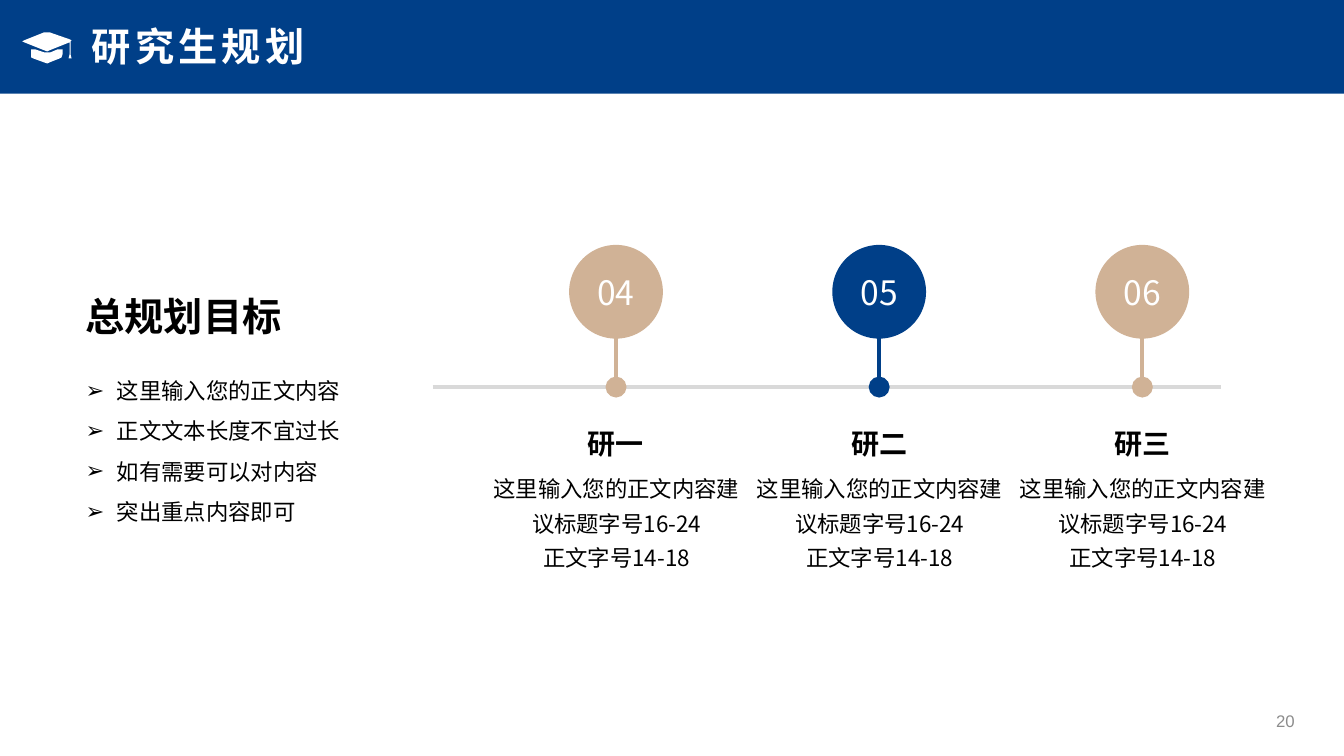
"""Build the postgraduate planning slide with its three-year timeline."""
from dataclasses import dataclass

import lxml.etree
import pptx
import pptx.dml.color
import pptx.enum.shapes
import pptx.enum.text
import pptx.oxml.ns
import pptx.util

Inches = pptx.util.Inches
Pt = pptx.util.Pt
SHAPES = pptx.enum.shapes.MSO_SHAPE
ALIGN = pptx.enum.text.PP_ALIGN
ANCHOR = pptx.enum.text.MSO_ANCHOR
qn = pptx.oxml.ns.qn


@dataclass(frozen=True)
class Theme:
    """Colours, fonts and type sizes of the slide."""
    navy: str = "003F88"
    sand: str = "D0B296"
    axis: str = "D9D9D9"
    white: str = "FFFFFF"
    black: str = "000000"
    grey: str = "8C8C8C"
    latin: str = "Arial"
    cjk: str = "Noto Sans CJK SC"
    heading: int = 28
    number: int = 24
    stage: int = 20
    body: int = 16
    footer: int = 12
    stroke: int = 3


THEME = Theme()
GOALS = ["这里输入您的正文内容", "正文文本长度不宜过长", "如有需要可以对内容", "突出重点内容即可"]
STAGE_NOTES = ["这里输入您的正文内容建议标题字号16-24", "正文字号14-18"]
STAGES = [("04", "研一", THEME.sand), ("05", "研二", THEME.navy), ("06", "研三", THEME.sand)]
FIRST_STAGE_X, STAGE_STEP, AXIS_Y = 6.11, 2.61, 3.84
CAP_BASE = [(0.31, 0.49), (0.35, 0.49), (0.44, 0.52), (0.47, 0.52), (0.5, 0.52), (0.57, 0.49),
            (0.62, 0.49), (0.62, 0.54), (0.61, 0.57), (0.59, 0.58), (0.49, 0.62), (0.47, 0.63),
            (0.44, 0.62), (0.33, 0.58), (0.31, 0.57), (0.31, 0.54)]
CAP_BOARD = [(0.47, 0.32), (0.49, 0.32), (0.69, 0.39), (0.71, 0.4), (0.7, 0.41), (0.7, 0.54),
             (0.71, 0.58), (0.68, 0.58), (0.69, 0.54), (0.69, 0.42), (0.49, 0.5), (0.47, 0.51),
             (0.44, 0.5), (0.24, 0.42), (0.22, 0.41), (0.24, 0.4), (0.44, 0.32)]


def rgb(colour):
    """Turn a hex string into a colour."""
    return pptx.dml.color.RGBColor.from_string(colour)


def paint(shape, colour):
    """Give a shape a flat fill without outline or shadow."""
    shape.shadow.inherit = False
    shape.fill.solid()
    shape.fill.fore_color.rgb = rgb(colour)
    shape.line.fill.background()


def add_bullet(paragraph, symbol, indent):
    """Give a paragraph a hanging bullet."""
    properties = paragraph._p.get_or_add_pPr()
    properties.set("marL", str(Inches(indent)))
    properties.set("indent", str(-Inches(indent)))
    lxml.etree.SubElement(properties, qn("a:buFont")).set("typeface", THEME.latin)
    lxml.etree.SubElement(properties, qn("a:buChar")).set("char", symbol)


def write(frame, lines, size, colour, font=THEME.cjk, bold=False, align=ALIGN.LEFT,
          spacing=1.0, tracking=0, bullet=None, inset=0):
    """Fill a text frame with evenly formatted paragraphs."""
    frame.margin_left = frame.margin_right = Inches(inset)
    frame.margin_top = frame.margin_bottom = Inches(inset / 2)
    frame.text = "\n".join(lines)
    for paragraph in frame.paragraphs:
        paragraph.alignment = align
        paragraph.line_spacing = spacing
        if bullet:
            add_bullet(paragraph, bullet, 0.31)
        for run in paragraph.runs:
            run.font.size = Pt(size)
            run.font.name = font
            run.font.bold = bold
            run.font.color.rgb = rgb(colour)
            properties = run._r.get_or_add_rPr()
            lxml.etree.SubElement(properties, qn("a:ea")).set("typeface", THEME.cjk)
            if tracking:
                properties.set("spc", str(tracking * 100))


def add_text(slide, box, lines, size, colour, wrap=True, anchor=ANCHOR.TOP, **style):
    """Add a text box at left, top, width, height in inches."""
    frame = slide.shapes.add_textbox(*map(Inches, box)).text_frame
    frame.word_wrap = wrap
    frame.vertical_anchor = anchor
    write(frame, lines, size, colour, **style)


def add_line(slide, start, end, colour, tail=None):
    """Add a straight line, optionally with a large end marker."""
    line = slide.shapes.add_connector(
        pptx.enum.shapes.MSO_CONNECTOR.STRAIGHT, *map(Inches, start + end))
    line.line.color.rgb = rgb(colour)
    line.line.width = Pt(THEME.stroke)
    if tail:
        marker = lxml.etree.SubElement(line.line._get_or_add_ln(), qn("a:tailEnd"))
        for key, value in (("type", tail), ("w", "lg"), ("len", "lg")):
            marker.set(key, value)
    lxml.etree.SubElement(line._element.spPr, qn("a:effectLst"))


def add_cap(slide):
    """Draw the graduation cap in the header."""
    base, board = ([(Inches(x), Inches(y)) for x, y in outline]
                   for outline in (CAP_BASE, CAP_BOARD))
    builder = slide.shapes.build_freeform(*base[0])
    builder.add_line_segments(base[1:], close=True)
    builder.move_to(*board[0])
    builder.add_line_segments(board[1:], close=True)
    paint(builder.convert_to_shape(), THEME.white)


def add_header(slide, title):
    """Add the banner with its cap and title."""
    banner = slide.shapes.add_shape(SHAPES.RECTANGLE, 0, 0, Inches(13.33), Inches(0.93))
    paint(banner, THEME.navy)
    add_cap(slide)
    add_text(slide, (0.83, 0.23, 7.03, 0.5), [title], THEME.heading, THEME.white,
             font=THEME.latin, bold=True, spacing=0.9, tracking=3, inset=0.08,
             anchor=ANCHOR.MIDDLE)


def add_stage(slide, x, number, name, colour):
    """Add one timeline stage centred on x."""
    add_line(slide, (x, 3.06), (x, AXIS_Y), colour, tail="oval")
    diameter = 0.93
    badge = slide.shapes.add_shape(
        SHAPES.OVAL, *map(Inches, (x - diameter / 2, 2.43, diameter, diameter)))
    paint(badge, colour)
    badge.text_frame.word_wrap = False
    badge.text_frame.vertical_anchor = ANCHOR.MIDDLE
    write(badge.text_frame, [number], THEME.number, THEME.white, align=ALIGN.CENTER)
    add_text(slide, (x - 0.28, 4.23, 0.56, 0.34), [name], THEME.stage, THEME.black,
             wrap=False, bold=True, align=ALIGN.CENTER)
    add_text(slide, (x - 1.22, 4.63, 2.45, 1.02), STAGE_NOTES, THEME.body, THEME.black,
             align=ALIGN.CENTER, spacing=1.3)


def main():
    """Compose and save the slide."""
    deck = pptx.Presentation()
    deck.slide_width, deck.slide_height = Inches(13.33), Inches(7.5)
    slide = deck.slides.add_slide(deck.slide_layouts[6])
    add_header(slide, "研究生规划")
    add_text(slide, (0.85, 2.9, 1.96, 0.47), ["总规划目标"], THEME.heading, THEME.black,
             wrap=False, bold=True)
    add_text(slide, (0.85, 3.61, 3.74, 1.57), GOALS, THEME.body, THEME.black,
             spacing=1.5, bullet="➢")
    add_line(slide, (4.29, AXIS_Y), (12.11, AXIS_Y), THEME.axis)
    for index, stage in enumerate(STAGES):
        add_stage(slide, FIRST_STAGE_X + index * STAGE_STEP, *stage)
    add_text(slide, (9.94, 6.95, 3, 0.4), ["20"], THEME.footer, THEME.grey,
             font=THEME.latin, align=ALIGN.RIGHT, anchor=ANCHOR.MIDDLE, inset=0.1)
    deck.save("out.pptx")


if __name__ == "__main__":
    main()
